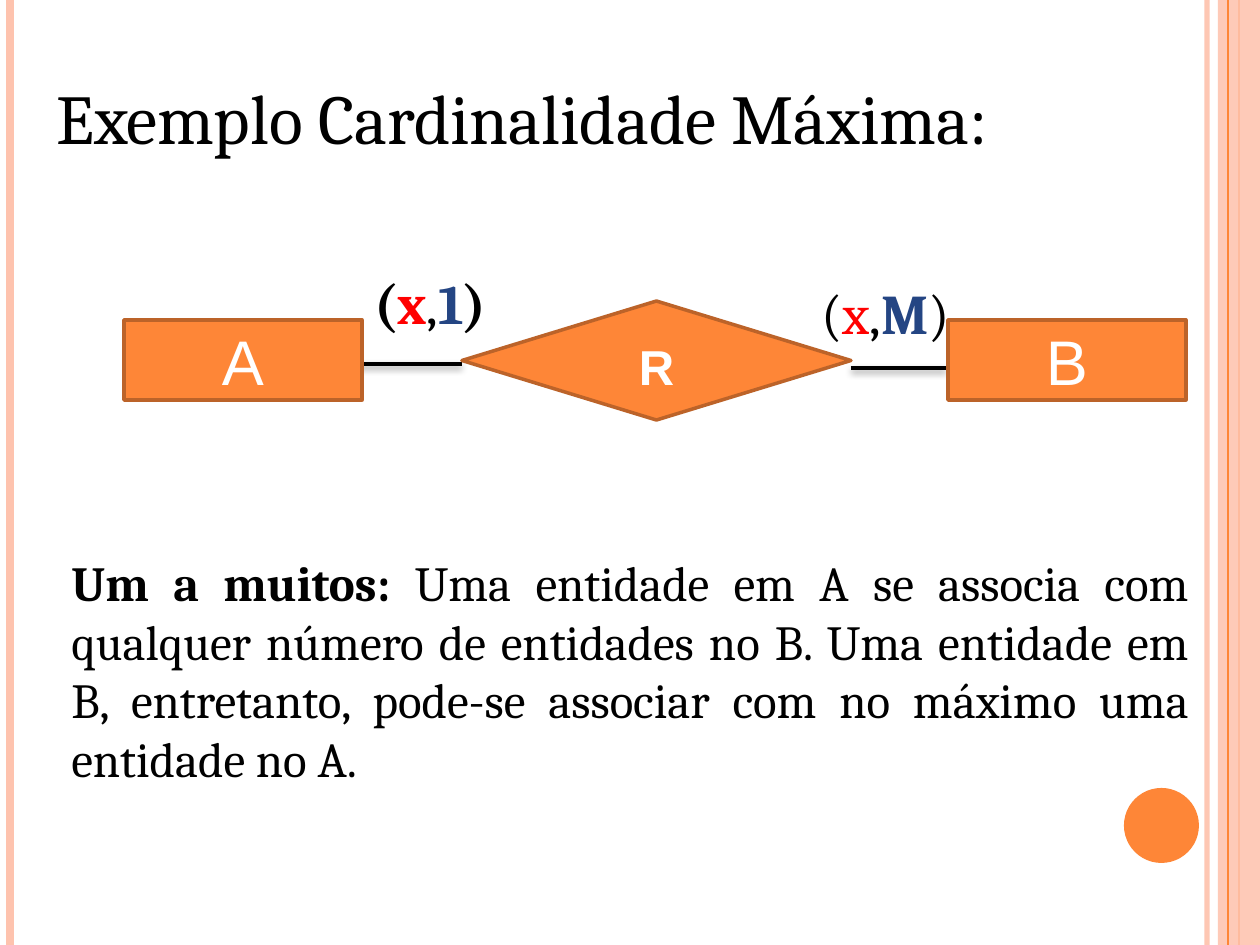
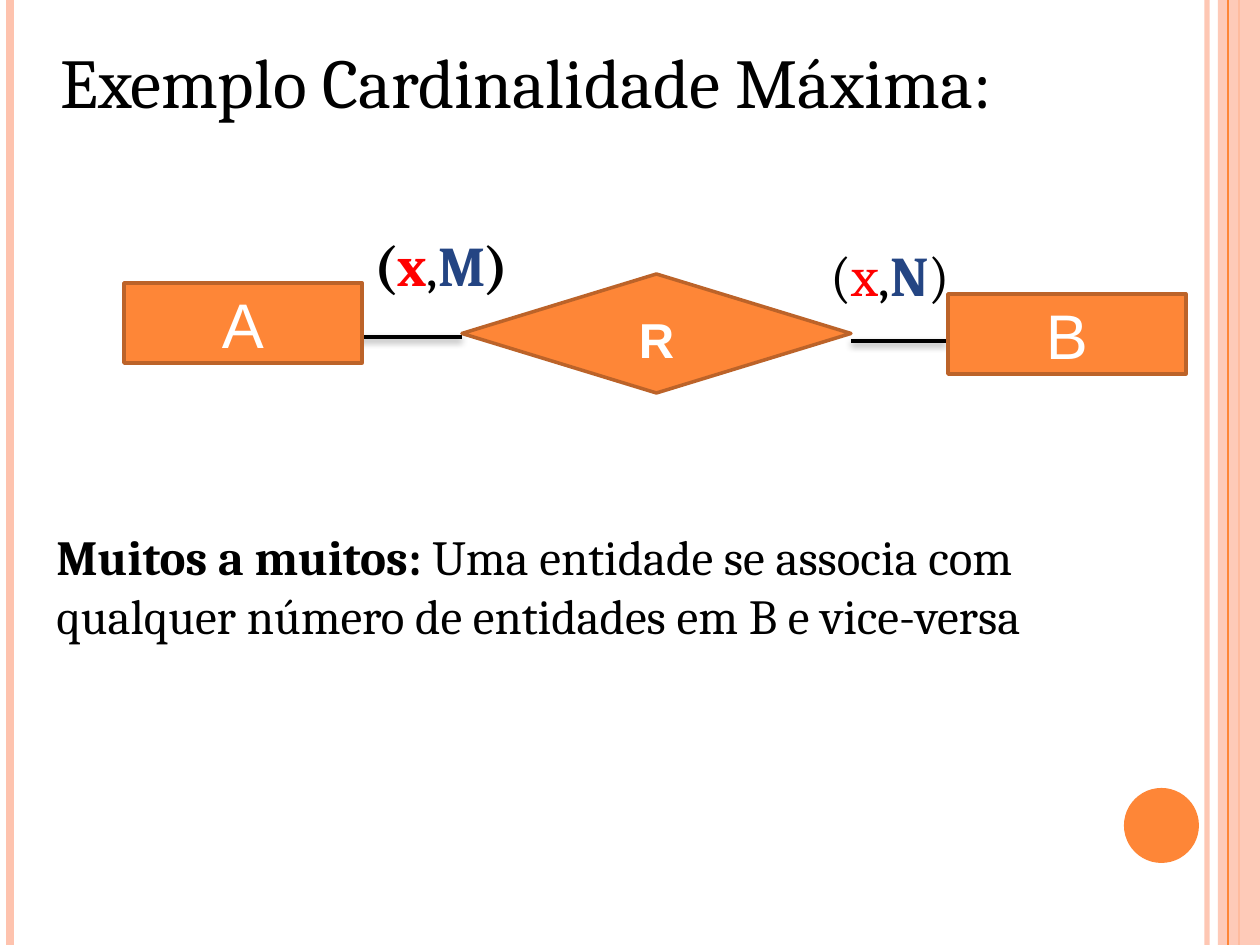
from dataclasses import dataclass

from lxml import etree
from pptx import Presentation
from pptx.dml.color import RGBColor
from pptx.enum.shapes import MSO_CONNECTOR, MSO_SHAPE
from pptx.enum.text import MSO_ANCHOR, PP_ALIGN
from pptx.oxml.ns import qn
from pptx.util import Emu, Pt

RECT, DIAMOND, OVAL = MSO_SHAPE.RECTANGLE, MSO_SHAPE.DIAMOND, MSO_SHAPE.OVAL
STRAIGHT = MSO_CONNECTOR.STRAIGHT
LEFT, CENTER, JUSTIFY = PP_ALIGN.LEFT, PP_ALIGN.CENTER, PP_ALIGN.JUSTIFY
TOP, MIDDLE = MSO_ANCHOR.TOP, MSO_ANCHOR.MIDDLE

SCALE = 914400 / 126
WIDE, HIGH = 1260, 945


@dataclass(frozen=True)
class Theme:
    ink: str = "000000"
    white: str = "FFFFFF"
    orange: str = "FE8637"
    edge: str = "BC6329"
    peach: str = "FEC3AE"
    red: str = "FF0000"
    blue: str = "244583"
    serif: str = "Cambria"
    sans: str = "Arial"
    title: int = 40
    entity: int = 36
    label: int = 32
    body: int = 28


T = Theme()


def px(value):
    return Emu(round(value * SCALE))


def rgb(code):
    return RGBColor.from_string(code)


# Text
def write(shape, runs, size, font, align=LEFT, anchor=TOP):
    """Add one paragraph; each run is (text, colour, bold)."""
    frame = shape.text_frame
    frame.word_wrap = True
    frame.vertical_anchor = anchor
    para = frame.paragraphs[0]
    para.alignment = align
    for text, color, bold in runs:
        run = para.add_run()
        run.text = text
        run.font.name = font
        run.font.size = Pt(size)
        run.font.bold = bold
        run.font.color.rgb = rgb(color)
    return para


def add_text(slide, box, runs, size, align=LEFT):
    shape = slide.shapes.add_textbox(*map(px, box))
    write(shape, runs, size, T.serif, align)


# Shapes and lines
def add_shape(slide, kind, box, fill, edge=None):
    shape = slide.shapes.add_shape(kind, *map(px, box))
    shape.shadow.inherit = False
    shape.fill.solid()
    shape.fill.fore_color.rgb = rgb(fill)
    if edge:
        shape.line.color.rgb = rgb(edge)
        shape.line.width = Pt(2)
    else:
        shape.line.fill.background()
    return shape


def add_line(slide, start, end, color, width):
    line = slide.shapes.add_connector(STRAIGHT, *map(px, start + end))
    line.line.color.rgb = rgb(color)
    line.line.width = Pt(width)
    etree.SubElement(line._element.spPr, qn("a:effectLst"))
    return line


def fade(shape, percent):
    for color in shape._element.spPr.iter(qn("a:srgbClr")):
        etree.SubElement(color, qn("a:alpha"), val=str(percent * 1000))


def cast(line):
    """Give a line a soft shadow below it."""
    effects = line._element.spPr.find(qn("a:effectLst"))
    shadow = etree.SubElement(effects, qn("a:outerShdw"), blurRad=str(Pt(4)),
                              dist=str(Pt(2)), dir="5400000", rotWithShape="0")
    color = etree.SubElement(shadow, qn("a:srgbClr"), val=T.ink)
    etree.SubElement(color, qn("a:alpha"), val="40000")


# Shared slide frame
def add_rule(slide, x, color, width):
    return add_line(slide, (x, 0), (x, HIGH), color, width)


def add_frame(slide):
    fade(add_rule(slide, 1207, T.peach, 3), 93)
    add_rule(slide, 10, T.peach, 4.5)
    add_rule(slide, 1239, T.orange, 1.5)
    fade(add_shape(slide, RECT, (1218, 0, 42, HIGH), T.peach), 87)
    add_rule(slide, 1228, T.orange, 0.75)
    add_shape(slide, OVAL, (1124, 788, 75, 75), T.orange)


def add_title(slide, x, y):
    add_text(slide, (x, y, 1106, 97),
             [("Exemplo Cardinalidade Máxima:", T.ink, False)], T.title)


# Diagram parts
def add_link(slide, x, end, y):
    cast(add_line(slide, (x, y), (end, y), T.ink, 2))


def add_entity(slide, x, y, name):
    shape = add_shape(slide, RECT, (x, y, 238, 80), T.orange, T.edge)
    para = write(shape, [(name, T.white, False)], T.entity, T.sans,
                 CENTER, MIDDLE)
    para.space_before, para.space_after = Pt(12), Pt(3)


def add_bond(slide, y):
    shape = add_shape(slide, DIAMOND, (462, y, 389, 119), T.orange, T.edge)
    write(shape, [("R", T.white, True)], T.body, T.sans, CENTER)


def add_label(slide, x, y, width, most, bold):
    runs = [("(", T.ink, bold), ("x", T.red, bold), (",", T.ink, False),
            (most, T.blue, True), (")", T.ink, bold)]
    add_text(slide, (x, y, width, 81), runs, T.label)


def add_model(slide, top, left, right, most):
    """Draw A - R - B; left and right are the tops of the entities."""
    add_link(slide, 358, 462, top + 63)
    add_link(slide, 851, 946, top + 67)
    add_bond(slide, top)
    add_entity(slide, 124, left, "A")
    add_entity(slide, 948, right, "B")
    for (x, y, width, text), bold in zip(most, (True, False)):
        add_label(slide, x, y, width, text, bold)


def add_body(slide, box, lead, text, align):
    add_text(slide, box, [(lead, T.ink, True), (text, T.ink, False)],
             T.body, align)


def start(deck):
    slide = deck.slides.add_slide(deck.slide_layouts[6])
    add_frame(slide)
    return slide


def main():
    deck = Presentation()
    deck.slide_width, deck.slide_height = px(WIDE), px(HIGH)

    # One to many
    slide = start(deck)
    add_model(slide, 301, 320, 320,
              [(362, 262, 179, "1"), (809, 272, 165, "M")])
    add_title(slide, 44, 68)
    add_body(slide, (59, 546, 1142, 251), "Um a muitos: ",
             "Uma entidade em A se associa com qualquer número de entidades "
             "no B. Uma entidade em B, entretanto, pode-se associar com no "
             "máximo uma entidade no A.", JUSTIFY)

    # Many to many
    slide = start(deck)
    add_title(slide, 48, 32)
    add_model(slide, 274, 283, 294,
              [(362, 224, 179, "M"), (818, 234, 156, "N")])
    add_body(slide, (44, 520, 1111, 190), "Muitos a muitos: ",
             "Uma entidade se associa com qualquer número de entidades em B "
             "e vice-versa", LEFT)

    deck.save("out.pptx")


if __name__ == "__main__":
    main()
